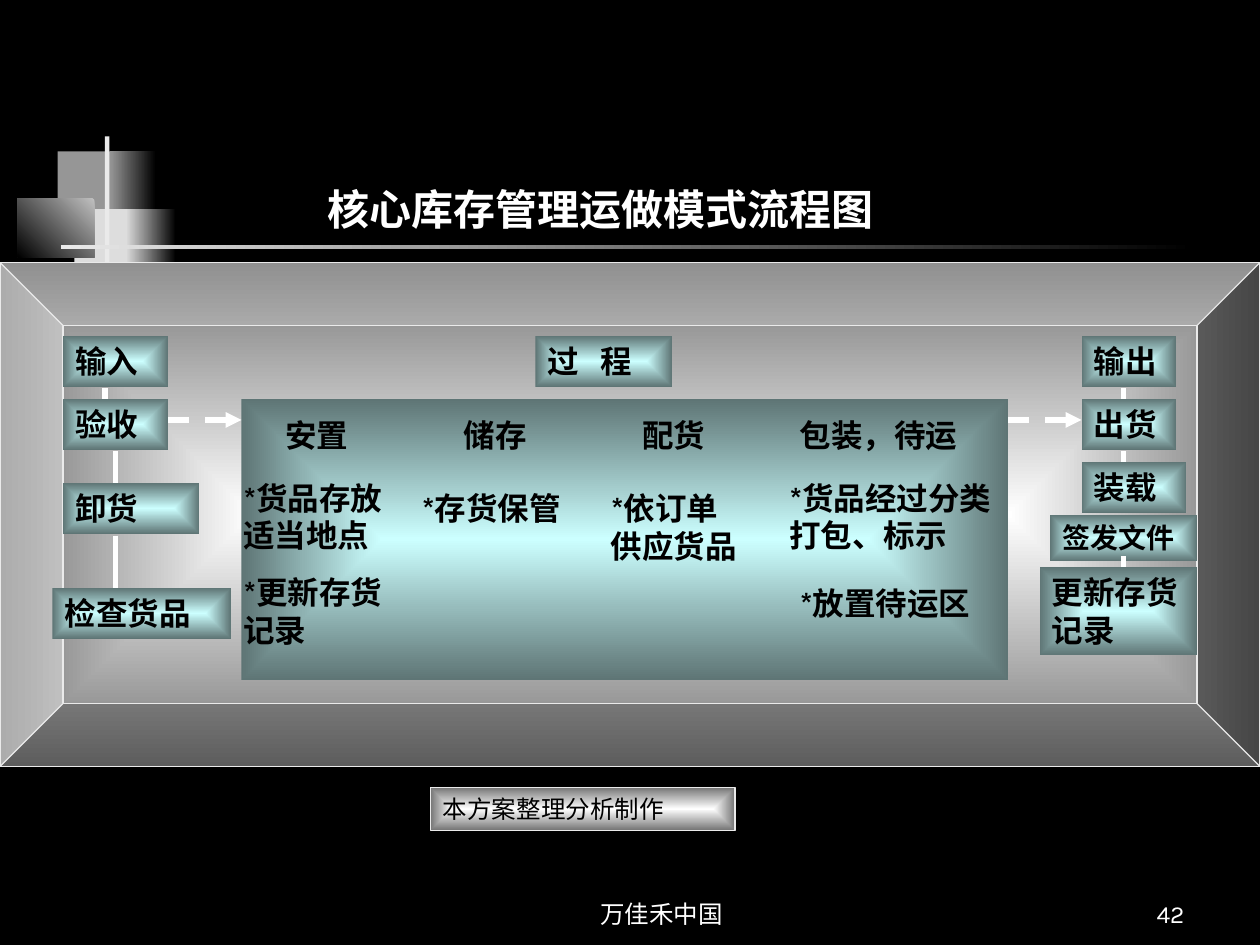
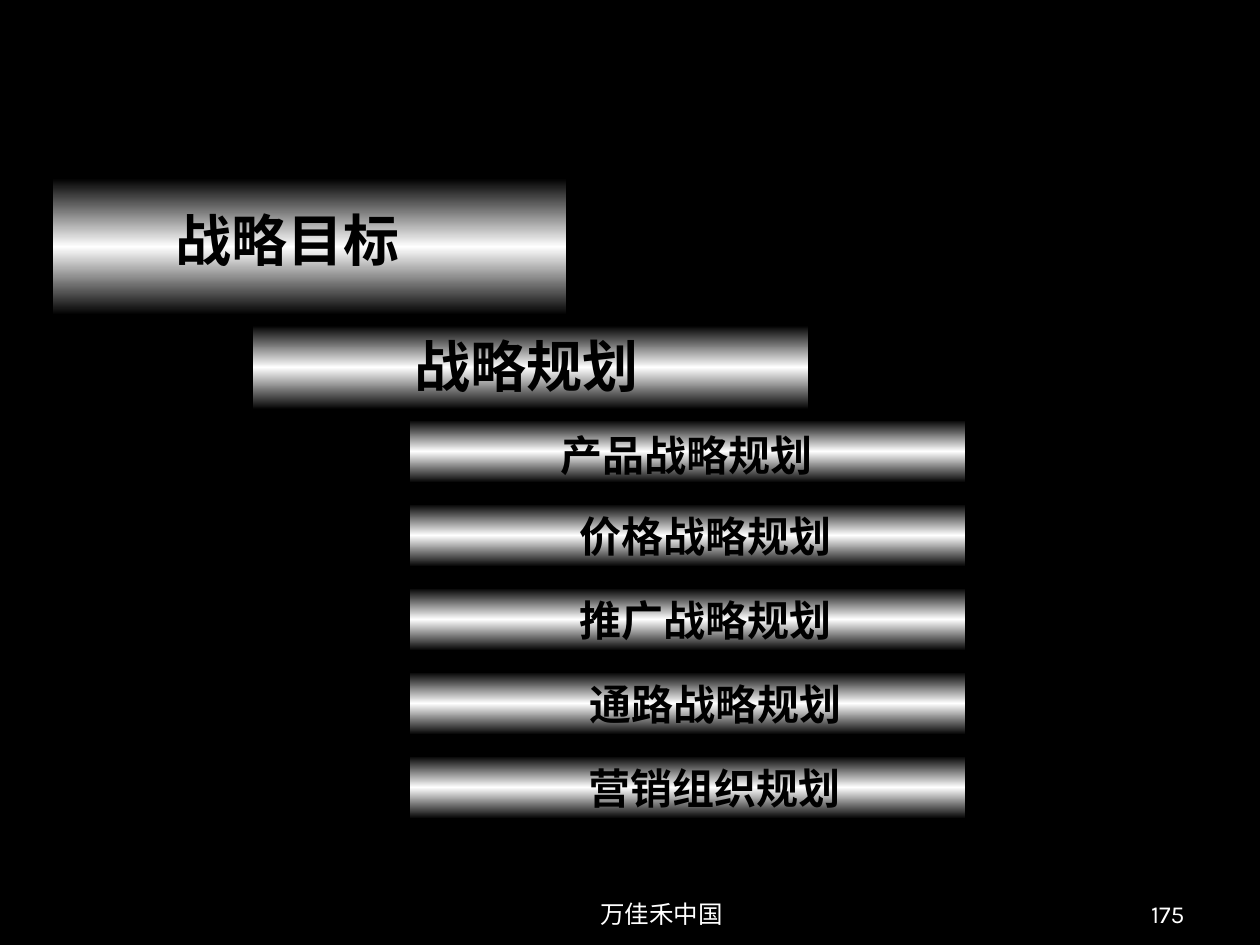
"""Build a warehouse flow chart slide and a strategy cascade slide."""
from lxml.etree import SubElement
from pptx import Presentation
from pptx.dml.color import RGBColor
from pptx.enum.dml import MSO_LINE
from pptx.enum.lang import MSO_LANGUAGE_ID
from pptx.enum.shapes import MSO_CONNECTOR, MSO_SHAPE
from pptx.enum.text import MSO_ANCHOR, MSO_AUTO_SIZE, PP_ALIGN
from pptx.oxml.ns import qn
from pptx.util import Pt

COLORS = {
    "black": "000000", "white": "FFFFFF", "edge": "EAEAEA", "pale": "DDDDDD",
    "silver": "C0C0C0", "gray": "969696", "steel": "757575",
    "aqua": "CCFFFF", "teal": "5E7575",
}
LATIN_FONT = "Karla"
CHINESE_FONT = "Noto Sans CJK JP"
FOOTER = "万佳禾中国"
AQUA_GLOW = ("aqua", "teal")
STEEL_GLOW = ("white", "steel")
SHEEN = ("black", "white", "black")

EMBLEM = [
    ((33, 86.5, 34.5, 37.5), ("gray",), 0),
    ((63, 86.5, 26, 37.5), ("black", "gray"), 180),
    ((42.5, 119.5, 33, 37.5), ("pale",), 0),
    ((72, 119.5, 28.5, 37.5), ("black", "pale"), 180),
    ((10, 113.5, 44, 33.5), ("silver", "black"), 135),
    ((60, 78, 2.5, 83), ("edge",), 0),
    ((35, 140, 648, 2.5), ("black", "edge"), 180),
]
STEPS = [
    ("输入", (36, 192, 60, 29)),
    ("验收", (36, 228, 60, 29)),
    ("卸货", (36, 276, 78, 29)),
    ("检查货品", (30, 336, 102, 29)),
    ("过 程", (306, 192, 78, 29)),
    ("输出", (618, 192, 54, 29)),
    ("出货", (618, 228, 54, 29)),
    ("装载", (618, 264, 60, 29)),
    ("签发文件", (600, 294, 84, 26.5)),
    ("更新存货记录", (594, 324, 90, 50.5)),
]
PROCESS_NOTES = [
    ("安置", (156, 234, 54, 29)),
    ("*货品存放适当地点", (132, 270, 102, 50.5)),
    ("*更新存货记录", (132, 324, 96, 50.5)),
    ("储存", (258, 234, 60, 29)),
    ("*存货保管", (234, 276, 102, 29)),
    ("配货", (360, 234, 54, 29)),
    ("*依订单供应货品", (342, 276, 90, 50.5)),
    ("包装，待运", (450, 234, 108, 29)),
    ("*货品经过分类打包、标示", (444, 270, 132, 50.5)),
    ("*放置待运区", (450, 330, 120, 29)),
]
LINKS = [(60, 222, 228), (66, 258, 276), (66, 306, 336),
         (642, 222, 228), (642, 258, 264), (642, 318, 324)]
PLANS = [
    ("产品战略规划", 313, 234),
    ("价格战略规划", 324, 288),
    ("推广战略规划", 324, 336),
    ("通路战略规划", 330, 384),
    ("营销组织规划", 329, 432),
]


def color(name):
    return RGBColor.from_string(COLORS[name])


def place(item, frame):
    item.left, item.top, item.width, item.height = map(Pt, frame)


def paint_gradient(shape, names, angle):
    """Fill with evenly spaced stops, along an angle or out from the centre."""
    shape.fill.gradient()
    gradient = shape._element.spPr.find(qn("a:gradFill"))
    for child in list(gradient):
        gradient.remove(child)
    stops = SubElement(gradient, qn("a:gsLst"))
    for index, name in enumerate(names):
        position = str(100000 * index // (len(names) - 1))
        stop = SubElement(stops, qn("a:gs"), pos=position)
        SubElement(stop, qn("a:srgbClr"), val=COLORS[name])
    if angle is None:
        path = SubElement(gradient, qn("a:path"), path="rect")
        SubElement(path, qn("a:fillToRect"), l="50000", t="50000", r="50000", b="50000")
    else:
        SubElement(gradient, qn("a:lin"), ang=str(angle * 60000), scaled="0")


def write(box, text, size, name="black", bold=True, align=PP_ALIGN.LEFT,
          anchor=MSO_ANCHOR.TOP, font=LATIN_FONT):
    frame = box.text_frame
    frame.word_wrap = True
    frame.auto_size = MSO_AUTO_SIZE.NONE
    frame.vertical_anchor = anchor
    frame.margin_left = frame.margin_right = Pt(7.2)
    frame.margin_top = frame.margin_bottom = Pt(3.6)
    para = frame.paragraphs[0]
    para.alignment = align
    span = para.add_run()
    span.text = text
    span.font.size = Pt(size)
    span.font.bold = bold
    span.font.color.rgb = color(name)
    span.font.name = font
    span.font.language_id = MSO_LANGUAGE_ID.SIMPLIFIED_CHINESE
    SubElement(span.font._element, qn("a:ea"), typeface=CHINESE_FONT)
    return span


def add_block(page, frame, names, angle=None, edge=None, kind=MSO_SHAPE.RECTANGLE):
    shape = page.shapes.add_shape(kind, *map(Pt, frame))
    shape.shadow.inherit = False
    if len(names) == 1:
        shape.fill.solid()
        shape.fill.fore_color.rgb = color(names[0])
    else:
        paint_gradient(shape, names, angle)
    if edge:
        shape.line.color.rgb = color(edge)
        shape.line.width = Pt(0.75)
    else:
        shape.line.fill.background()
    return shape


def add_text(page, frame, text, size, **style):
    box = page.shapes.add_textbox(*map(Pt, frame))
    write(box, text, size, **style)


def add_line(page, start, end, arrow=False):
    line = page.shapes.add_connector(MSO_CONNECTOR.STRAIGHT, *map(Pt, start + end))
    line.line.color.rgb = color("white")
    line.line.width = Pt(3)
    if arrow:
        line.line.dash_style = MSO_LINE.DASH
        SubElement(line.line._get_or_add_ln(), qn("a:tailEnd"), type="triangle")
    SubElement(line._element.spPr, qn("a:effectLst"))


def add_title(page, frame, text, size, **style):
    """Format the title placeholder and bring it above the shapes so far."""
    title = page.shapes.title
    place(title, frame)
    write(title, text, size, **style)
    page.shapes._spTree.append(title._element)


def add_footer(page, number):
    style = {"name": "white", "bold": False, "anchor": MSO_ANCHOR.BOTTOM}
    add_text(page, (264, 498, 228, 36), FOOTER, 14, align=PP_ALIGN.CENTER, **style)
    add_text(page, (534, 498, 150, 36), number, 14, align=PP_ALIGN.RIGHT, **style)


def build_flow_chart(page):
    for frame, names, angle in EMBLEM:
        add_block(page, frame, names, angle)
    add_title(page, (180, 102, 366, 35.5), "核心库存管理运做模式流程图", 24,
              name="white", anchor=MSO_ANCHOR.BOTTOM, font=CHINESE_FONT)
    bevel = add_block(page, (0, 150, 720, 288), STEEL_GLOW, edge="edge",
                      kind=MSO_SHAPE.BEVEL)
    bevel.adjustments[0] = 0.125
    add_block(page, (138, 228, 438, 160.5), AQUA_GLOW)
    for text, frame in PROCESS_NOTES:
        add_text(page, frame, text, 18)
    for left in (96, 576):
        add_line(page, (left, 240), (left + 42, 240), arrow=True)
    for text, frame in STEPS:
        span = write(add_block(page, frame, AQUA_GLOW), text,
                     16 if text == "签发文件" else 18)
        if " " in text:
            span.font._element.set("spc", "400")
    credit = add_block(page, (246, 450, 174, 24.5), STEEL_GLOW, edge="edge")
    write(credit, "本方案整理分析制作", 14, bold=False)
    for left, top, bottom in LINKS:
        add_line(page, (left, top), (left, bottom))
    add_footer(page, "42")


def build_strategy(page):
    add_block(page, (30, 102, 294, 78), SHEEN, 90, "black")
    add_title(page, (93, 114, 195, 46), "战略目标", 32)
    add_block(page, (144, 186, 318, 48), SHEEN, 90, "black")
    add_text(page, (230, 186, 220, 46), "战略规划", 32)
    for index, (text, left, top) in enumerate(PLANS):
        add_block(page, (234, 240 + 48 * index, 318, 36), SHEEN, 90, "black")
        add_text(page, (left, top + (6 if index == 0 else 0) + (2 if index == 0 else 0),
                        190, 36), text, 24)
    add_footer(page, "175")


def main():
    deck = Presentation()
    deck.slide_width, deck.slide_height = Pt(720), Pt(540)
    background = deck.slide_master.background.fill
    background.solid()
    background.fore_color.rgb = color("black")
    title_only = deck.slide_layouts[5]
    for build in (build_flow_chart, build_strategy):
        build(deck.slides.add_slide(title_only))
    deck.save("out.pptx")


if __name__ == "__main__":
    main()
